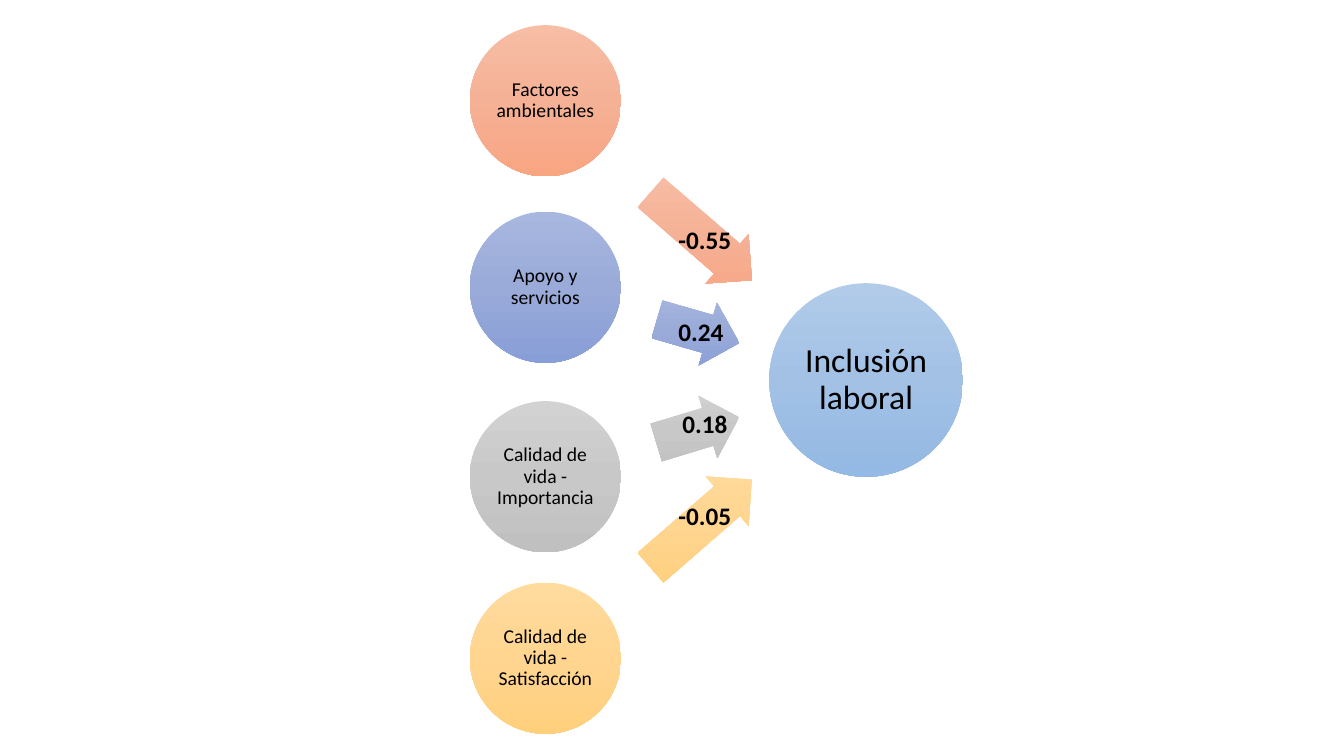
from pptx import Presentation
from pptx.dml.color import RGBColor
from pptx.enum.shapes import MSO_SHAPE
from pptx.enum.text import MSO_ANCHOR, MSO_AUTO_SIZE, PP_ALIGN
from pptx.oxml import parse_xml
from pptx.oxml.ns import nsdecls
from pptx.util import Inches, Pt

OVAL, ARROW = MSO_SHAPE.OVAL, MSO_SHAPE.RIGHT_ARROW
MIDDLE, CENTER = MSO_ANCHOR.MIDDLE, PP_ALIGN.CENTER
GROW = MSO_AUTO_SIZE.SHAPE_TO_FIT_TEXT
WIDE, HIGH = Inches(13.33), Inches(7.5)
UNIT = HIGH / 90

THEME = {
    "font": "Calibri",
    "ink": RGBColor(0, 0, 0),
    "hub": 24, "node": 14, "value": 18,
    "blue": ("B1CBE9", "A3C1E5", "93B9E4"),
    "coral": ("F7BDA5", "F5B196", "F8A582"),
    "indigo": ("A8B7DF", "9AABD9", "889ED7"),
    "gray": ("D2D2D2", "C8C8C8", "C0C0C0"),
    "gold": ("FFDB9E", "FFD590", "FFD07C"),
}

NODE_X, NODE_SIZE = 55.92, 18
ARROW_HIGH = 7.8
VALUE_TOP, VALUE_STEP, VALUE_HIGH = 26.16, 10.93, 4.8
HUB = (91.56, 33.72, 23.04, 23.04)

# name, tone, node row, arrow (column, row, width, turn), value, value (column, width)
FACTORS = [
    ("Factores ambientales", "coral", 3, (75.48, 24.24, 15.96, 40.9), "-0.55", (79.56, 8.76)),
    ("Apoyo y servicios", "indigo", 25.2, (78, 35.52, 10.2, 16.1), "0.24", (79.56, 7.8)),
    ("Calidad de vida - Importancia", "gray", 47.76, (77.88, 47.28, 10.32, 343.1), "0.18", (80.04, 7.8)),
    ("Calidad de vida - Satisfacción", "gold", 69.36, (75.48, 58.44, 15.96, 319), "-0.05", (79.56, 8.76)),
]


def scale(box):
    return [round(part * UNIT) for part in box]


def apply(target, style):
    for name, value in style.items():
        setattr(target, name, value)


def shade(shape, tone):
    stops = "".join(
        f'<a:gs pos="{spot * 50000}"><a:srgbClr val="{color}"/></a:gs>'
        for spot, color in enumerate(THEME[tone])
    )
    shape._element.spPr.append(parse_xml(
        f'<a:gradFill {nsdecls("a")} rotWithShape="0"><a:gsLst>{stops}</a:gsLst>'
        '<a:lin ang="5400000" scaled="0"/></a:gradFill>'
    ))
    shape.line.fill.background()
    shape.shadow.inherit = False


def write(frame, text, size, bold=False):
    line = frame.paragraphs[0]
    run = line.add_run()
    run.text = text
    apply(run.font, {"name": THEME["font"], "size": Pt(THEME[size]), "bold": bold})
    run.font.color.rgb = THEME["ink"]
    return line


def add_circle(slide, box, text, tone, size, inset):
    circle = slide.shapes.add_shape(OVAL, *scale(box))
    shade(circle, tone)
    frame = circle.text_frame
    sides = ("margin_left", "margin_top", "margin_right", "margin_bottom")
    apply(frame, dict.fromkeys(sides, Inches(inset)))
    apply(frame, {"word_wrap": True, "vertical_anchor": MIDDLE})
    apply(write(frame, text, size), {"alignment": CENTER, "line_spacing": 0.9})


def add_arrow(slide, box, tone, turn):
    arrow = slide.shapes.add_shape(ARROW, *scale(box))
    arrow.adjustments[0] = 0.6
    arrow.adjustments[1] = 0.5
    arrow.rotation = turn
    shade(arrow, tone)


def add_value(slide, box, text):
    frame = slide.shapes.add_textbox(*scale(box)).text_frame
    apply(frame, {"word_wrap": False, "auto_size": GROW})
    write(frame, text, "value", True)


def main():
    deck = Presentation()
    apply(deck, {"slide_width": WIDE, "slide_height": HIGH})
    slide = deck.slides.add_slide(deck.slide_layouts[6])
    add_circle(slide, HUB, "Inclusión laboral", "blue", "hub", 0.03)
    for index, (name, tone, row, (left, top, width, turn), value, (col, span)) in enumerate(FACTORS):
        add_arrow(slide, (left, top, width, ARROW_HIGH), tone, turn)
        add_circle(slide, (NODE_X, row, NODE_SIZE, NODE_SIZE), name, tone, "node", 0.02)
        add_value(slide, (col, VALUE_TOP + index * VALUE_STEP, span, VALUE_HIGH), value)
    deck.save("out.pptx")


if __name__ == "__main__":
    main()
